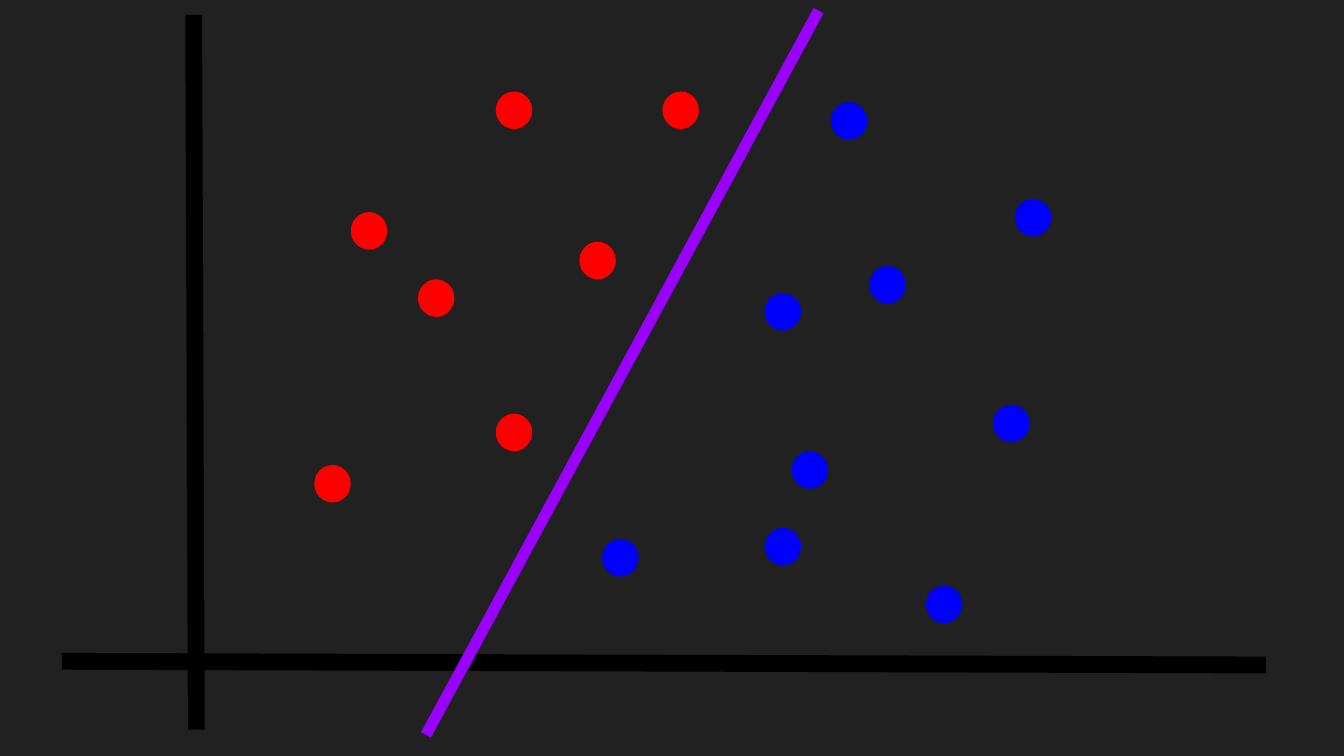
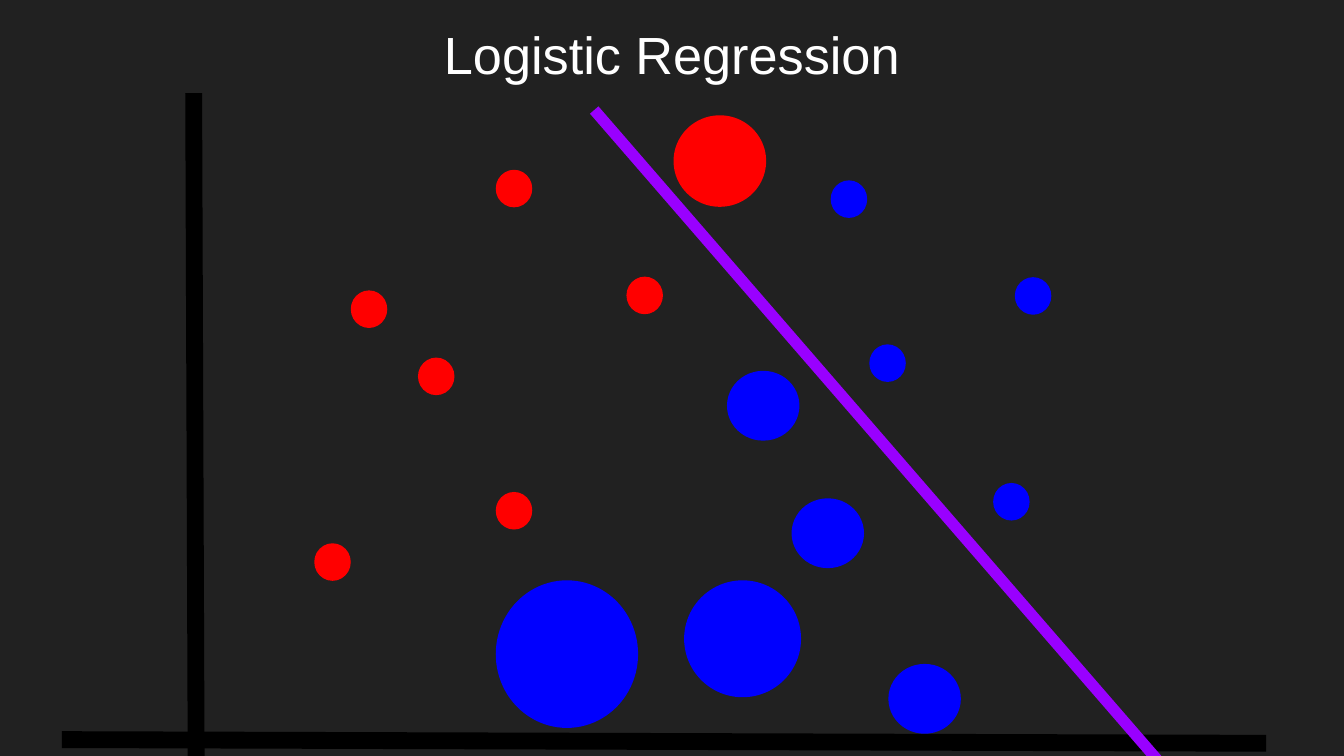
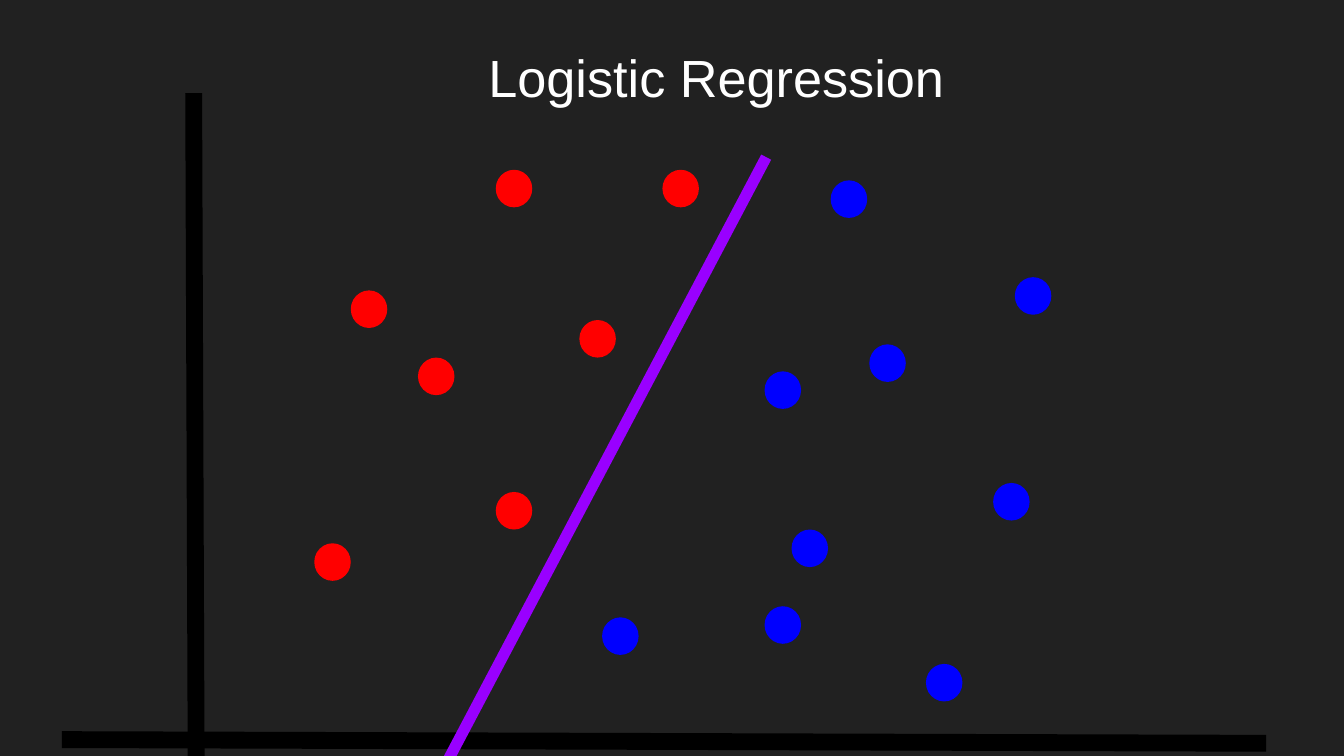
from lxml.etree import SubElement
from pptx import Presentation
from pptx.dml.color import RGBColor
from pptx.enum.shapes import MSO_CONNECTOR as Link, MSO_SHAPE as Preset
from pptx.enum.text import MSO_ANCHOR as Anchor, PP_ALIGN as Align
from pptx.oxml.ns import qn
from pptx.util import Cm, Pt

BACKGROUND, AXIS, BOUNDARY, TITLE = "212121", "000000", "9900FF", "FFFFFF"
RED, BLUE = "FF0000", "0000FF"
DOT = (0.69, 0.71)
MEDIUM = (1.37, 1.32)
TITLE_SIZE = (23.67, 1.6)
TITLED_DROP = 1.48

AXES = [((3.66, 0.28), (3.71, 13.79)), ((1.17, 12.5), (23.93, 12.57))]
CLASSES = {
    RED: [(6.63, 4.01), (5.94, 8.79), (9.37, 1.73), (7.9, 5.28),
          (10.95, 4.57), (9.37, 7.82), (12.52, 1.73)],
    BLUE: [(14.96, 8.53), (16.43, 5.03), (14.45, 9.98), (11.38, 10.19),
           (19.18, 3.76), (18.77, 7.65), (17.5, 11.07), (14.45, 5.54),
           (15.7, 1.93)],
}
WEIGHTED = {
    (10.95, 4.57): ((11.84, 3.75), DOT),
    (12.52, 1.73): ((12.73, 0.7), (1.75, 1.73)),
    (14.96, 8.53): ((14.96, 7.94), MEDIUM),
    (14.45, 9.98): ((12.93, 9.49), (2.21, 2.21)),
    (11.38, 10.19): ((9.37, 9.49), (2.69, 2.79)),
    (17.5, 11.07): ((16.79, 11.07), MEDIUM),
    (14.45, 5.54): ((13.74, 5.53), MEDIUM),
}


def color(value):
    """Turn a hex string into a colour."""
    return RGBColor.from_string(value)


class Deck:
    """Hold the presentation style and the current slide."""

    def __init__(self):
        """Start a widescreen presentation."""
        self.show = Presentation()
        self.show.slide_width, self.show.slide_height = Cm(25.4), Cm(14.29)
        self.slide = None

    def new_slide(self):
        """Add a blank dark slide."""
        self.slide = self.show.slides.add_slide(self.show.slide_layouts[6])
        fill = self.slide.background.fill
        fill.solid()
        fill.fore_color.rgb = color(BACKGROUND)

    def line(self, start, end, stroke, width, drop=0):
        """Draw a straight line between two points."""
        (x1, y1), (x2, y2) = start, end
        line = self.slide.shapes.add_connector(
            Link.STRAIGHT, Cm(x1), Cm(y1 + drop), Cm(x2), Cm(y2 + drop))
        line.line.color.rgb = color(stroke)
        line.line.width = Pt(width)
        SubElement(line._element.spPr, qn("a:effectLst"))

    def dot(self, corner, size, fill, drop):
        """Draw one data point."""
        x, y = corner
        dot = self.slide.shapes.add_shape(
            Preset.OVAL, Cm(x), Cm(y + drop), *map(Cm, size))
        dot.shadow.inherit = False
        dot.fill.solid()
        dot.fill.fore_color.rgb = color(fill)
        dot.line.fill.background()

    def title(self, text, corner):
        """Write the centred slide title."""
        frame = self.slide.shapes.add_textbox(
            *map(Cm, corner + TITLE_SIZE)).text_frame
        frame.word_wrap = True
        frame.vertical_anchor = Anchor.TOP
        frame.margin_left = frame.margin_right = Cm(0.25)
        frame.margin_top = frame.margin_bottom = Cm(0.25)
        heading = frame.paragraphs[0]
        heading.text = text
        heading.alignment = Align.CENTER
        heading.font.name = "Arial"
        heading.font.size = Pt(28)
        heading.font.color.rgb = color(TITLE)

    def scatter(self, boundary, drop=0, moved=None):
        """Draw the axes, both classes and the decision boundary."""
        moved = moved or {}
        for start, end in AXES:
            self.line(start, end, AXIS, 9, drop)
        for fill, points in CLASSES.items():
            for point in points:
                corner, size = moved.get(point, (point, DOT))
                self.dot(corner, size, fill, drop)
        self.line(*boundary, BOUNDARY, 6)


def main():
    """Build the three slides."""
    deck = Deck()
    deck.new_slide()
    deck.scatter(((8.05, 13.89), (15.47, 0.2)))

    deck.new_slide()
    deck.scatter(((23.42, 16.15), (11.23, 2.08)), TITLED_DROP, WEIGHTED)
    deck.title("Logistic Regression", (0.86, 0.18))

    deck.new_slide()
    deck.scatter(((8.05, 15.16), (14.48, 2.97)), TITLED_DROP)
    deck.title("Logistic Regression", (1.7, 0.61))
    deck.show.save("out.pptx")


if __name__ == "__main__":
    main()
